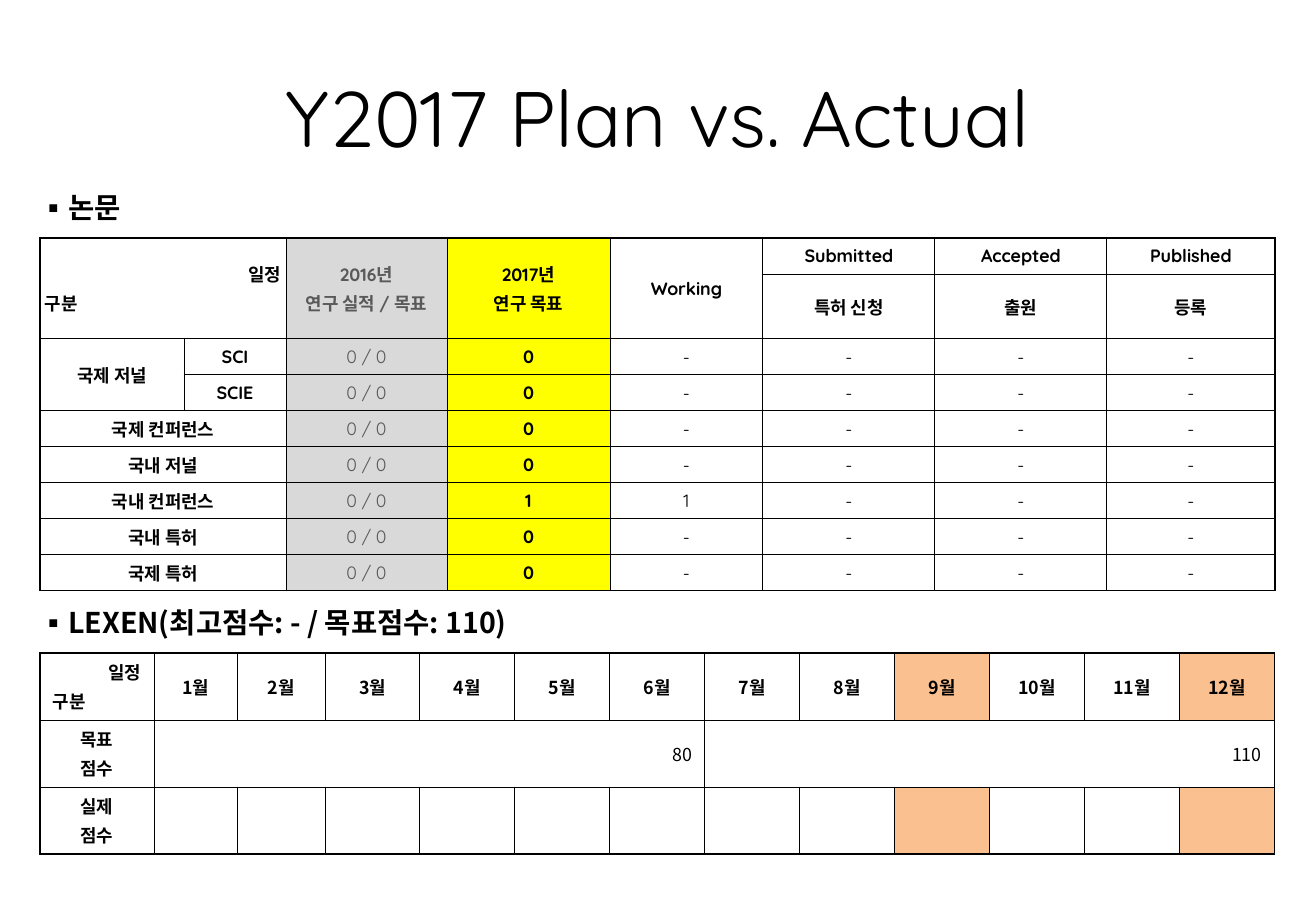
from dataclasses import dataclass

import lxml.etree
import pptx
import pptx.dml.color
import pptx.enum.text
import pptx.oxml.ns
import pptx.util

PIXEL = 7116
ALIGN = pptx.enum.text.PP_ALIGN
MIDDLE = pptx.enum.text.MSO_ANCHOR.MIDDLE


@dataclass(frozen=True)
class Theme:
    black: str = "000000"
    gray_text: str = "595959"
    gray: str = "D9D9D9"
    yellow: str = "FFFF00"
    orange: str = "FAC090"
    latin: str = "Quicksand"
    korean: str = "Noto Sans CJK KR"
    title_size: int = 44
    heading_size: int = 16
    cell_size: int = 10
    line_gap: int = 2
    thick: float = 1
    thin: float = 0.5


THEME = Theme()


@dataclass(frozen=True)
class Style:
    font: str
    size: int
    color: str = THEME.black
    bold: bool = False


@dataclass(frozen=True)
class Entry:
    row: int
    column: int
    lines: tuple[str, ...] = ()
    height: int = 1
    width: int = 1
    fill: str | None = None
    color: str = THEME.black
    bold: bool = True
    aligns: tuple[ALIGN, ...] = (ALIGN.CENTER, ALIGN.CENTER)


@dataclass(frozen=True)
class Grid:
    left: int
    top: int
    columns: tuple[int, ...]
    rows: tuple[int, ...]
    margin_x: int
    margin_y: int
    font: str
    entries: tuple[Entry, ...]


@dataclass(frozen=True)
class Heading:
    top: int
    text: str


def px(length: int) -> int:
    return pptx.util.Emu(length * PIXEL)


def add_child(parent, tag: str, **attributes: str):
    return lxml.etree.SubElement(parent, pptx.oxml.ns.qn(tag), attributes)


def add_span(para, text: str, style: Style) -> None:
    span = para.add_run()
    span.text = text
    span.font.name = style.font
    span.font.size = pptx.util.Pt(style.size)
    span.font.bold = style.bold
    span.font.color.rgb = pptx.dml.color.RGBColor.from_string(style.color)
    add_child(span.font._element, "a:ea", typeface=THEME.korean)


def add_box(page, left: int, top: int, width: int, height: int):
    box = page.shapes.add_textbox(px(left), px(top), px(width), px(height))
    box.text_frame.word_wrap = True
    box.text_frame.vertical_anchor = MIDDLE
    return box.text_frame


def add_title(page, text: str) -> None:
    para = add_box(page, 51, 46, 1214, 141).paragraphs[0]
    para.alignment = ALIGN.CENTER
    add_span(para, text, Style(THEME.latin, THEME.title_size))


def add_heading(page, heading: Heading) -> None:
    frame = add_box(page, 40, heading.top, 1235, 40)
    frame.margin_left = frame.margin_right = frame.margin_top = frame.margin_bottom = 0
    para = frame.paragraphs[0]
    properties = para._p.get_or_add_pPr()
    properties.set("marL", str(px(20)))
    properties.set("indent", str(-px(20)))
    add_child(properties, "a:buFont", typeface=THEME.korean)
    add_child(properties, "a:buChar", char="▪")
    add_span(para, heading.text, Style(THEME.korean, THEME.heading_size, bold=True))


def add_borders(table, grid: Grid, entry: Entry) -> None:
    last_row = entry.row + entry.height
    last_column = entry.column + entry.width
    for row in range(entry.row, last_row):
        for column in range(entry.column, last_column):
            origin = (row, column) == (entry.row, entry.column)
            sides = (
                ("a:lnL", column == entry.column, entry.column == 0),
                ("a:lnR", column + 1 == last_column, last_column == len(grid.columns)),
                ("a:lnT", row == entry.row, entry.row == 0),
                ("a:lnB", row + 1 == last_row, last_row == len(grid.rows)),
            )
            properties = table.cell(row, column)._tc.get_or_add_tcPr()
            for tag, on_edge, outer in sides:
                if origin or on_edge:
                    weight = pptx.util.Pt(THEME.thick if outer else THEME.thin)
                    line = add_child(properties, tag, w=str(weight))
                    add_child(add_child(line, "a:solidFill"), "a:srgbClr", val=THEME.black)


def add_entry(table, grid: Grid, entry: Entry) -> None:
    cell = table.cell(entry.row, entry.column)
    if entry.height * entry.width > 1:
        cell.merge(table.cell(entry.row + entry.height - 1, entry.column + entry.width - 1))
    add_borders(table, grid, entry)
    cell.margin_left = cell.margin_right = px(grid.margin_x)
    cell.margin_top = cell.margin_bottom = px(grid.margin_y)
    cell.vertical_anchor = MIDDLE
    if entry.fill:
        cell.fill.solid()
        cell.fill.fore_color.rgb = pptx.dml.color.RGBColor.from_string(entry.fill)
    else:
        cell.fill.background()
    style = Style(grid.font, THEME.cell_size, entry.color, entry.bold)
    for index, text in enumerate(entry.lines):
        para = cell.text_frame.add_paragraph() if index else cell.text_frame.paragraphs[0]
        para.alignment = entry.aligns[index]
        if index:
            para.space_before = pptx.util.Pt(THEME.line_gap)
        add_span(para, text, style)


def add_grid(page, grid: Grid) -> None:
    table = page.shapes.add_table(
        len(grid.rows), len(grid.columns), px(grid.left), px(grid.top),
        px(sum(grid.columns)), px(sum(grid.rows))).table
    table.first_row = table.horz_banding = False
    for column, width in zip(table.columns, grid.columns):
        column.width = px(width)
    for row, height in zip(table.rows, grid.rows):
        row.height = px(height)
    for entry in grid.entries:
        add_entry(table, grid, entry)


def paper_entries() -> tuple[Entry, ...]:
    entries = [
        Entry(0, 0, ("일정", "구분"), 2, 2, aligns=(ALIGN.RIGHT, ALIGN.LEFT)),
        Entry(0, 2, ("2016년", "연구 실적 / 목표"), 2, fill=THEME.gray, color=THEME.gray_text),
        Entry(0, 3, ("2017년", "연구 목표"), 2, fill=THEME.yellow),
        Entry(0, 4, ("Working",), 2),
        Entry(2, 0, ("국제 저널",), 2),
        Entry(2, 1, ("SCI",)),
        Entry(3, 1, ("SCIE",)),
    ]
    stages = (("Submitted", "특허 신청"), ("Accepted", "출원"), ("Published", "등록"))
    for column, stage in enumerate(stages, 5):
        entries += [Entry(row, column, (text,)) for row, text in enumerate(stage)]
    kinds = ("국제 컨퍼런스", "국내 저널", "국내 컨퍼런스", "국내 특허", "국제 특허")
    entries += [Entry(row, 0, (kind,), width=2) for row, kind in enumerate(kinds, 4)]
    results = (("0", "-"), ("0", "-"), ("0", "-"), ("0", "-"), ("1", "1"), ("0", "-"), ("0", "-"))
    for row, (goal, working) in enumerate(results, 2):
        entries.append(Entry(row, 2, ("0 / 0",), fill=THEME.gray, color=THEME.gray_text, bold=False))
        entries.append(Entry(row, 3, (goal,), fill=THEME.yellow))
        for column, text in enumerate((working, "-", "-", "-"), 4):
            entries.append(Entry(row, column, (text,), bold=False))
    return tuple(entries)


def score_entries() -> tuple[Entry, ...]:
    entries = [
        Entry(0, 0, ("일정", "구분"), aligns=(ALIGN.RIGHT, ALIGN.LEFT)),
        Entry(1, 0, ("목표", "점수")),
        Entry(2, 0, ("실제", "점수")),
        Entry(1, 1, ("80",), width=6, bold=False, aligns=(ALIGN.RIGHT,)),
        Entry(1, 7, ("110",), width=6, bold=False, aligns=(ALIGN.RIGHT,)),
    ]
    for month in range(1, 13):
        fill = THEME.orange if month in (9, 12) else None
        entries += [Entry(0, month, (f"{month}월",), fill=fill), Entry(2, month, fill=fill)]
    return tuple(entries)


def main() -> None:
    deck = pptx.Presentation()
    deck.slide_width, deck.slide_height = px(1316), px(901)
    page = deck.slides.add_slide(deck.slide_layouts[6])
    add_title(page, "Y2017 Plan vs. Actual")
    for heading in (Heading(187, "논문"), Heading(602, "LEXEN(최고점수: - / 목표점수: 110)")):
        add_heading(page, heading)
    add_grid(page, Grid(40, 238, (144, 102, 161, 163, 153, 172, 172, 168), (36, 65) + (36,) * 7,
                        5, 5, THEME.latin, paper_entries()))
    add_grid(page, Grid(40, 653, (114, 83, 88) + (95,) * 10, (67,) * 3,
                        13, 6, THEME.korean, score_entries()))
    deck.save("out.pptx")


if __name__ == "__main__":
    main()
